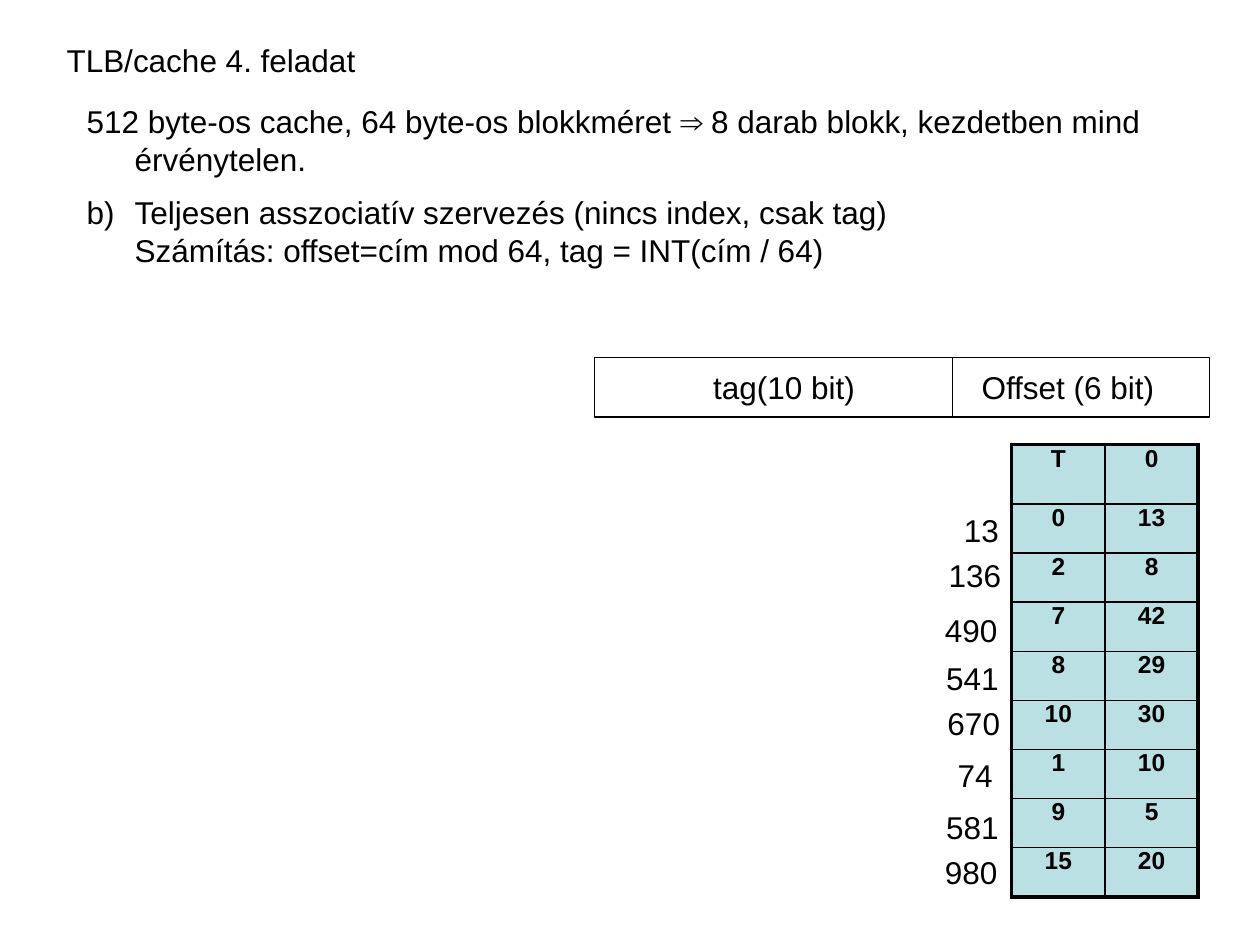
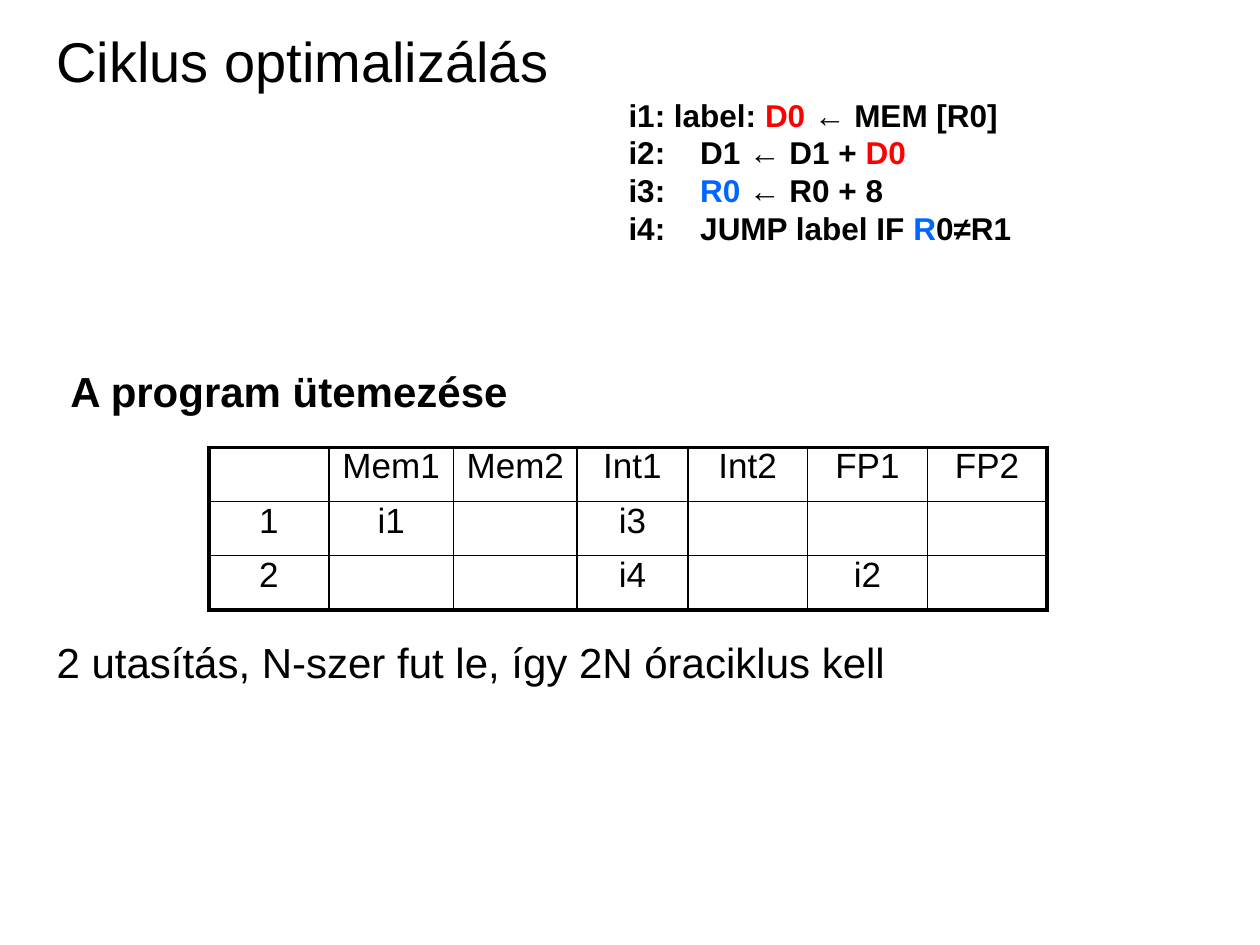
from lxml import etree
from pptx import Presentation
from pptx.dml.color import RGBColor
from pptx.enum.shapes import MSO_CONNECTOR, MSO_SHAPE
from pptx.enum.text import MSO_ANCHOR, PP_ALIGN
from pptx.oxml.ns import qn
from pptx.util import Pt

EMU_PER_PX = 9144  # 100 px to the inch
CENTER, MIDDLE, TOP = PP_ALIGN.CENTER, MSO_ANCHOR.MIDDLE, MSO_ANCHOR.TOP
RECTANGLE, STRAIGHT = MSO_SHAPE.RECTANGLE, MSO_CONNECTOR.STRAIGHT
FONT = "Arial"
COLORS = {"ink": "000000", "cell": "BBE0E3", "load": "FF0000", "counter": "0066FF"}
THIN, THICK = 1, 2.25
PADDING = (10, 5)


def px(length):
    return int(length * EMU_PER_PX)


def color(name):
    return RGBColor.from_string(COLORS[name])


def style_run(run, size, bold=False, ink="ink"):
    run.font.name = FONT
    run.font.size = Pt(size)
    run.font.bold = bold
    run.font.color.rgb = color(ink)


def add_text(slide, box, paragraphs, size, bold=False, padding=PADDING, anchor=TOP):
    """Each paragraph is a string or a list of (text, colour name) pieces."""
    frame = slide.shapes.add_textbox(*map(px, box)).text_frame
    frame.word_wrap = True
    frame.vertical_anchor = anchor
    frame.margin_left = frame.margin_right = px(padding[0])
    frame.margin_top = frame.margin_bottom = px(padding[1])
    for number, content in enumerate(paragraphs):
        paragraph = frame.add_paragraph() if number else frame.paragraphs[0]
        if isinstance(content, str):
            paragraph.text = content
            for run in paragraph.runs:
                style_run(run, size, bold)
            continue
        for text, ink in content:
            run = paragraph.add_run()
            run.text = text
            style_run(run, size, bold, ink)
    return frame


def set_borders(cell, widths):
    """Widths are in points, in the order left, right, top, bottom."""
    properties = cell._tc.get_or_add_tcPr()
    for position, (side, width) in enumerate(zip("LRTB", widths)):
        line = etree.Element(qn(f"a:ln{side}"), w=str(Pt(width)))
        fill = etree.SubElement(line, qn("a:solidFill"))
        etree.SubElement(fill, qn("a:srgbClr"), val=COLORS["ink"])
        properties.insert(position, line)


def add_grid(slide, origin, columns, heights, rows, size, bold=False, fill=None):
    """Table with a thick frame and thin inner lines."""
    box = (*origin, sum(columns), sum(heights))
    table = slide.shapes.add_table(len(rows), len(columns), *map(px, box)).table
    table.first_row = table.horz_banding = False
    for column, width in zip(table.columns, columns):
        column.width = px(width)
    for row, height in zip(table.rows, heights):
        row.height = px(height)
    last_row, last_column = len(rows) - 1, len(columns) - 1
    for r, values in enumerate(rows):
        for c, value in enumerate(values):
            cell = table.cell(r, c)
            cell.margin_left = cell.margin_right = 0
            cell.margin_top = cell.margin_bottom = 0
            if fill:
                cell.fill.solid()
                cell.fill.fore_color.rgb = color(fill)
            else:
                cell.fill.background()
            on_frame = (c == 0, c == last_column, r == 0, r == last_row)
            set_borders(cell, [THICK if edge else THIN for edge in on_frame])
            if value:
                paragraph = cell.text_frame.paragraphs[0]
                paragraph.text = value
                paragraph.alignment = CENTER
                style_run(paragraph.runs[0], size, bold)


def outline(line):
    line.color.rgb = color("ink")
    line.width = Pt(0.75)


def add_exercise(slide, box):
    """Task statement with a hanging indent and a lettered part."""
    frame = add_text(slide, box, [
        "512 byte-os cache, 64 byte-os blokkméret ⇒ 8 darab blokk, "
        "kezdetben mind érvénytelen.",
        "Teljesen asszociatív szervezés (nincs index, csak tag)\v"
        "Számítás: offset=cím mod 64, tag = INT(cím / 64)",
    ], 18)
    for paragraph in frame.paragraphs:
        properties = paragraph._p.get_or_add_pPr()
        properties.set("marL", str(px(38)))
        properties.set("indent", str(px(-38)))
    part_b = frame.paragraphs[1]
    part_b.space_before = Pt(9)
    etree.SubElement(part_b._p.get_or_add_pPr(), qn("a:buAutoNum"),
                     type="alphaLcParenR", startAt="2")


def add_address_format(slide, box):
    """Address word divided into tag and offset fields."""
    left, top, width, height = box
    divider_x = left + 284
    word = slide.shapes.add_shape(RECTANGLE, *map(px, box))
    word.shadow.inherit = False
    word.fill.background()
    outline(word.line)
    divider = slide.shapes.add_connector(
        STRAIGHT, *map(px, (divider_x, top, divider_x, top + height)))
    outline(divider.line)
    etree.SubElement(divider._element.spPr, qn("a:effectLst"))
    for offset, field_width, field in ((307, 142, "Offset (6 bit)"),
                                       (94, 165, "tag(10 bit)")):
        add_text(slide, (left + offset, top + 8, field_width, 30), [field], 18,
                 padding=(0, 0))


def add_cache_accesses(slide, origin):
    """Tag and offset table with the accessed addresses on its left."""
    left, top = origin
    # address, distance left of the table, distance below its top, tag, offset
    accesses = [
        ("13", 38, 53, "0", "13"), ("136", 50, 88, "2", "8"),
        ("490", 53, 132, "7", "42"), ("541", 52, 170, "8", "29"),
        ("670", 51, 206, "10", "30"), ("74", 43, 247, "1", "10"),
        ("581", 52, 288, "9", "5"), ("980", 53, 324, "15", "20"),
    ]
    rows = [("T", "0")] + [access[3:] for access in accesses]
    add_grid(slide, origin, [74, 74], [47] + [39] * len(accesses), rows, 14,
             bold=True, fill="cell")
    for address, back, down, *_ in accesses:
        add_text(slide, (left - back, top + down, 47, 30), [address], 18,
                 padding=(0, 0))


def add_loop_code(slide, box):
    """Loop listing with the dependent registers coloured."""
    add_text(slide, box, [
        [("i1: label: ", "ink"), ("D0", "load"), (" ← MEM [R0]", "ink")],
        [("i2: \t D1 ← D1 + ", "ink"), ("D0", "load")],
        [("i3: \t ", "ink"), ("R0", "counter"), (" ← R0 + 8", "ink")],
        [("i4: \t JUMP label IF ", "ink"), ("R", "counter"), ("0≠R1", "ink")],
    ], 18, bold=True)


def add_schedule(slide, origin):
    """Instructions issued per cycle to each execution unit."""
    rows = [
        ("", "Mem1", "Mem2", "Int1", "Int2", "FP1", "FP2"),
        ("1", "i1", "", "i3", "", "", ""),
        ("2", "", "", "i4", "", "i2", ""),
    ]
    add_grid(slide, origin, [95, 99, 98, 88, 95, 95, 95], [43] * 3, rows, 20)


def build_cache_slide(slide):
    add_text(slide, (43, 28, 291, 40), ["TLB/cache 4. feladat"], 18)
    add_exercise(slide, (59, 76, 890, 145))
    add_cache_accesses(slide, (803, 353))
    add_address_format(slide, (472, 284, 488, 47))


def build_loop_slide(slide):
    add_text(slide, (35, 21, 575, 54), ["Ciklus optimalizálás"], 32, anchor=MIDDLE)
    add_schedule(slide, (166, 355))
    add_text(slide, (35, 500, 839, 50),
             ["2 utasítás, N-szer fut le, így 2N óraciklus kell"], 24)
    add_text(slide, (46, 285, 465, 50), ["A program ütemezése"], 24, bold=True)
    add_loop_code(slide, (489, 71, 444, 130))


def main():
    deck = Presentation()
    deck.slide_width, deck.slide_height = px(1000), px(750)
    for build in (build_cache_slide, build_loop_slide):
        build(deck.slides.add_slide(deck.slide_layouts[6]))
    deck.save("out.pptx")


if __name__ == "__main__":
    main()
